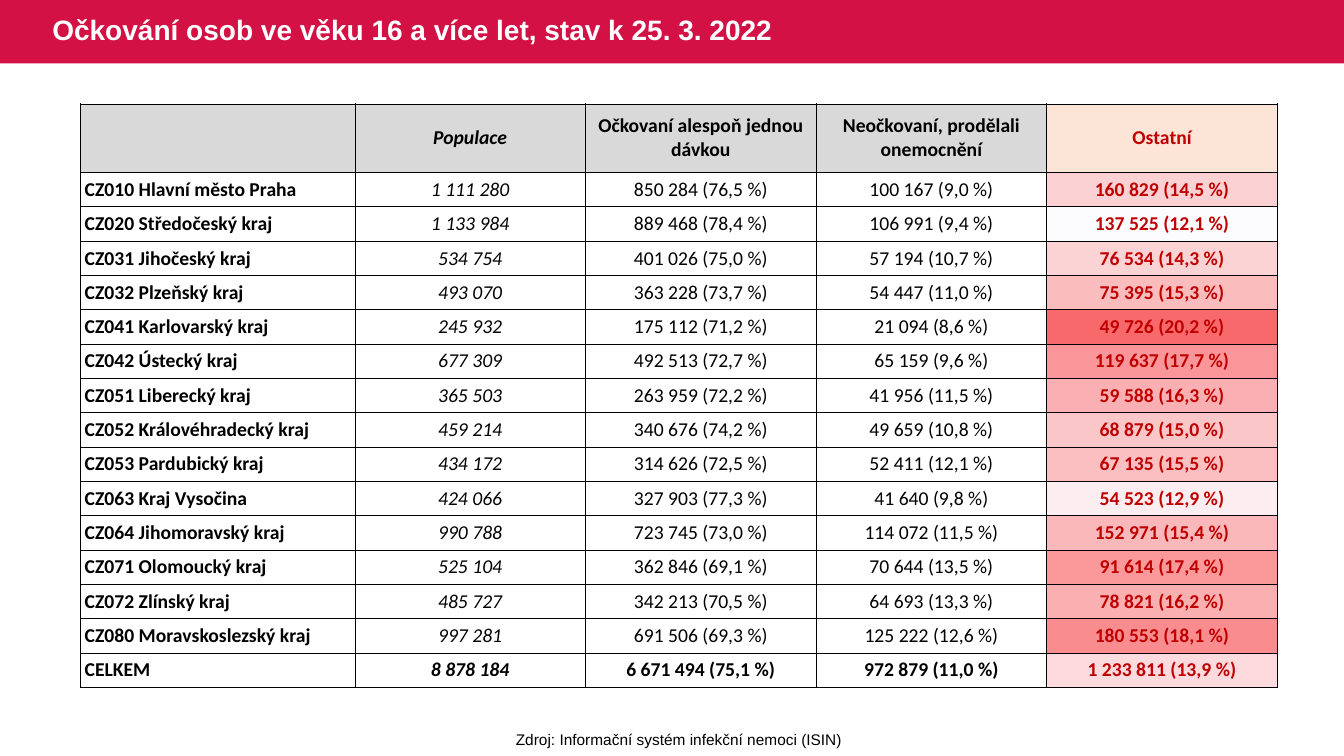
from typing import NamedTuple

from lxml.etree import SubElement
from pptx import Presentation
from pptx.dml.color import RGBColor
from pptx.enum.shapes import MSO_SHAPE as Shape
from pptx.enum.text import MSO_ANCHOR as Anchor, MSO_AUTO_SIZE as AutoSize, PP_ALIGN as Align
from pptx.oxml.ns import qn
from pptx.util import Inches, Pt

WHITE = RGBColor(0xFF, 0xFF, 0xFF)
BLACK = RGBColor(0x00, 0x00, 0x00)
CRIMSON = RGBColor(0xD3, 0x11, 0x45)
DARK_RED = RGBColor(0xC0, 0x00, 0x00)
GREY = RGBColor(0xD9, 0xD9, 0xD9)
PEACH = RGBColor(0xFC, 0xE4, 0xD6)
NO_STYLE = "{2D5ABB26-0587-4C30-8999-92F81FD0307C}"

TABLE_LEFT, TABLE_TOP = 0.8, 1.03
TABLE_WIDTH, TABLE_HEIGHT = 11.87, 5.79
NAME_WIDTH = 2.72
VALUE_WIDTH = (TABLE_WIDTH - NAME_WIDTH) / 4
ROW_HEIGHT = TABLE_HEIGHT / 17  # the header is two rows high
BANNER_HEIGHT = 0.63


class Region(NamedTuple):
    name: str
    population: str
    vaccinated: str
    recovered: str
    others: str
    shade: str


class Style(NamedTuple):
    size: float
    font: str
    color: RGBColor = BLACK
    bold: bool = False
    italic: bool = False


HEADER = ("", "Populace", "Očkovaní alespoň jednou dávkou",
          "Neočkovaní, prodělali onemocnění", "Ostatní")
REGIONS = [
    Region("CZ010 Hlavní město Praha", "1 111 280", "850 284 (76,5 %)",
           "100 167 (9,0 %)", "160 829 (14,5 %)", "FBD1D4"),
    Region("CZ020 Středočeský kraj", "1 133 984", "889 468 (78,4 %)",
           "106 991 (9,4 %)", "137 525 (12,1 %)", "FCFCFF"),
    Region("CZ031 Jihočeský kraj", "534 754", "401 026 (75,0 %)",
           "57 194 (10,7 %)", "76 534 (14,3 %)", "FBD3D5"),
    Region("CZ032 Plzeňský kraj", "493 070", "363 228 (73,7 %)",
           "54 447 (11,0 %)", "75 395 (15,3 %)", "FBBCBE"),
    Region("CZ041 Karlovarský kraj", "245 932", "175 112 (71,2 %)",
           "21 094 (8,6 %)", "49 726 (20,2 %)", "F8696B"),
    Region("CZ042 Ústecký kraj", "677 309", "492 513 (72,7 %)",
           "65 159 (9,6 %)", "119 637 (17,7 %)", "FA9699"),
    Region("CZ051 Liberecký kraj", "365 503", "263 959 (72,2 %)",
           "41 956 (11,5 %)", "59 588 (16,3 %)", "FAB0B3"),
    Region("CZ052 Královéhradecký kraj", "459 214", "340 676 (74,2 %)",
           "49 659 (10,8 %)", "68 879 (15,0 %)", "FBC6C8"),
    Region("CZ053 Pardubický kraj", "434 172", "314 626 (72,5 %)",
           "52 411 (12,1 %)", "67 135 (15,5 %)", "FBBFC1"),
    Region("CZ063 Kraj Vysočina", "424 066", "327 903 (77,3 %)",
           "41 640 (9,8 %)", "54 523 (12,9 %)", "FCEDF0"),
    Region("CZ064 Jihomoravský kraj", "990 788", "723 745 (73,0 %)",
           "114 072 (11,5 %)", "152 971 (15,4 %)", "FBB8BB"),
    Region("CZ071 Olomoucký kraj", "525 104", "362 846 (69,1 %)",
           "70 644 (13,5 %)", "91 614 (17,4 %)", "FA989A"),
    Region("CZ072 Zlínský kraj", "485 727", "342 213 (70,5 %)",
           "64 693 (13,3 %)", "78 821 (16,2 %)", "FAAFB1"),
    Region("CZ080 Moravskoslezský kraj", "997 281", "691 506 (69,3 %)",
           "125 222 (12,6 %)", "180 553 (18,1 %)", "F98C8E"),
    Region("CELKEM", "8 878 184", "6 671 494 (75,1 %)",
           "972 879 (11,0 %)", "1 233 811 (13,9 %)", "FCDADD"),
]


def format_text(para, style: Style, align=Align.LEFT) -> None:
    para.alignment = align
    for span in para.runs:
        font = span.font
        font.size, font.name = Pt(style.size), style.font
        font.bold, font.italic = style.bold, style.italic
        font.color.rgb = style.color


def add_grid(page, left: float, top: float, widths: list[float], heights: list[float]):
    """Add a plain table without margins, fills or borders."""
    table = page.shapes.add_table(len(heights), len(widths), Inches(left), Inches(top),
                                  Inches(sum(widths)), Inches(sum(heights))).table
    table.first_row = table.horz_banding = False
    table._tbl.tblPr.find(qn("a:tableStyleId")).text = NO_STYLE
    for column, width in zip(table.columns, widths):
        column.width = Inches(width)
    for row, height in zip(table.rows, heights):
        row.height = Inches(height)
    for cell in table.iter_cells():
        cell.margin_left = cell.margin_right = cell.margin_top = cell.margin_bottom = 0
        cell.vertical_anchor = Anchor.MIDDLE
    return table


def add_borders(cell) -> None:
    properties = cell._tc.get_or_add_tcPr()
    for side in ("a:lnL", "a:lnR", "a:lnT", "a:lnB"):
        line = SubElement(properties, qn(side), w=str(Pt(0.5)))
        SubElement(SubElement(line, qn("a:solidFill")), qn("a:srgbClr"), val=str(BLACK))


def add_shading(page) -> None:
    """Colour scale behind the last column."""
    table = add_grid(page, TABLE_LEFT + TABLE_WIDTH - VALUE_WIDTH, TABLE_TOP + 2 * ROW_HEIGHT,
                     [VALUE_WIDTH], [ROW_HEIGHT] * len(REGIONS))
    for cell, region in zip(table.iter_cells(), REGIONS):
        cell.fill.solid()
        cell.fill.fore_color.rgb = RGBColor.from_string(region.shade)


def add_figures(page) -> None:
    table = add_grid(page, TABLE_LEFT, TABLE_TOP, [NAME_WIDTH] + [VALUE_WIDTH] * 4,
                     [2 * ROW_HEIGHT] + [ROW_HEIGHT] * len(REGIONS))
    rows = [HEADER] + [region[:5] for region in REGIONS]
    for r, texts in enumerate(rows):
        is_header, is_total = r == 0, r == len(REGIONS)
        for c, text in enumerate(texts):
            cell = table.cell(r, c)
            is_name, is_others = c == 0, c == 4
            add_borders(cell)
            if is_header:
                cell.fill.solid()
                cell.fill.fore_color.rgb = PEACH if is_others else GREY
            else:
                cell.fill.background()
            cell.margin_left = cell.margin_right = Inches(0.04 if is_header or is_name else 0.01)
            if text:
                cell.text_frame.text = text
                style = Style(14, "Calibri", DARK_RED if is_others else BLACK,
                              bold=is_header or is_total or is_name or is_others, italic=c == 1)
                format_text(cell.text_frame.paragraphs[0], style,
                            Align.LEFT if is_name else Align.CENTER)


def add_banner(page) -> None:
    banner = page.shapes.add_shape(Shape.RECTANGLE, 0, 0, Inches(13.33), Inches(BANNER_HEIGHT))
    banner.shadow.inherit = False
    banner.fill.solid()
    banner.fill.fore_color.rgb = CRIMSON
    banner.line.fill.background()


def add_title(page) -> None:
    box = page.shapes.add_textbox(Inches(0.42), 0, Inches(8.28), Inches(BANNER_HEIGHT))
    frame = box.text_frame
    frame.word_wrap = True
    frame.vertical_anchor = Anchor.MIDDLE
    frame.text = "Očkování osob ve věku 16 a více let, stav k 25. 3. 2022"
    frame.paragraphs[0].line_spacing = 0.9
    format_text(frame.paragraphs[0], Style(20, "Arial", WHITE, bold=True))


def add_credit(page) -> None:
    box = page.shapes.add_textbox(Inches(5.01), Inches(7.19), Inches(3.45), Inches(0.29))
    frame = box.text_frame
    frame.word_wrap = False
    frame.auto_size = AutoSize.SHAPE_TO_FIT_TEXT
    frame.text = "Zdroj: Informační systém infekční nemoci (ISIN)"
    format_text(frame.paragraphs[0], Style(11, "Arial"), Align.CENTER)


def main() -> None:
    deck = Presentation()
    deck.slide_width, deck.slide_height = Inches(13.33), Inches(7.5)
    page = deck.slides.add_slide(deck.slide_layouts[6])
    add_banner(page)
    add_shading(page)
    add_title(page)
    add_figures(page)
    add_credit(page)
    deck.save("out.pptx")


if __name__ == "__main__":
    main()
